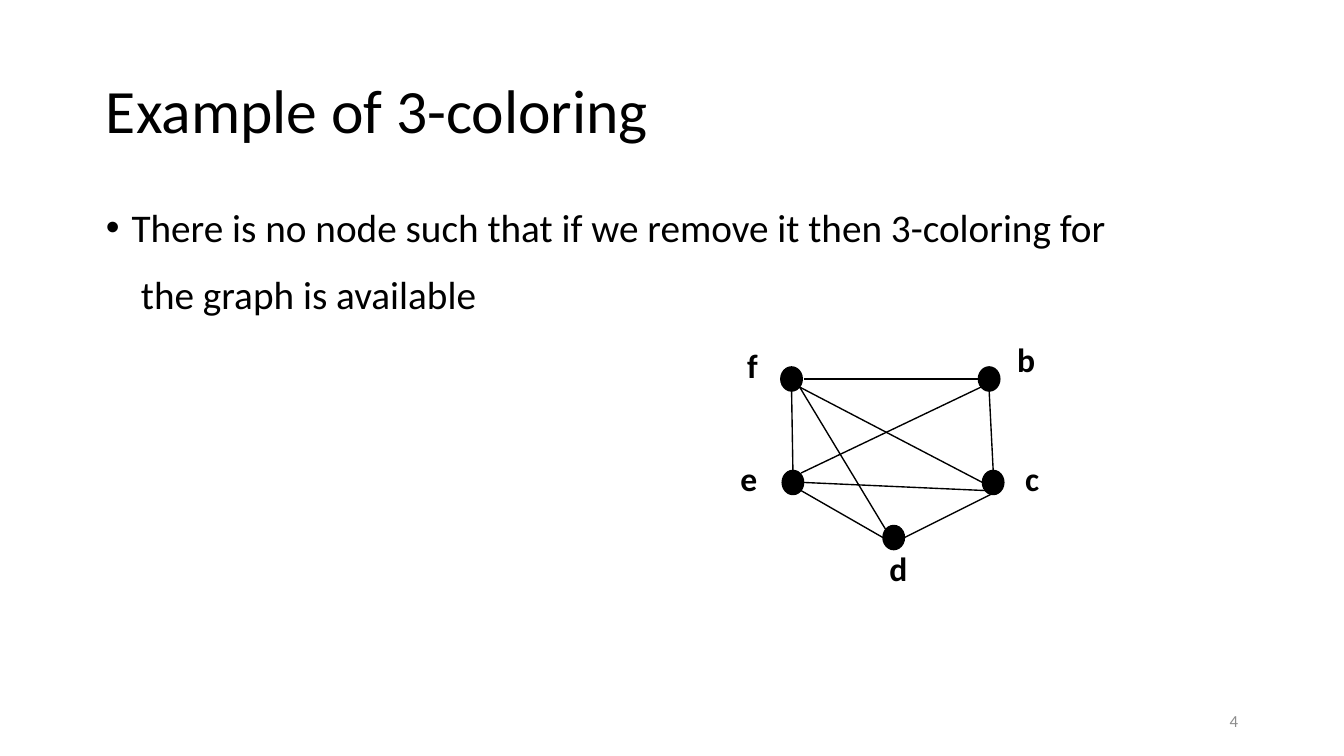
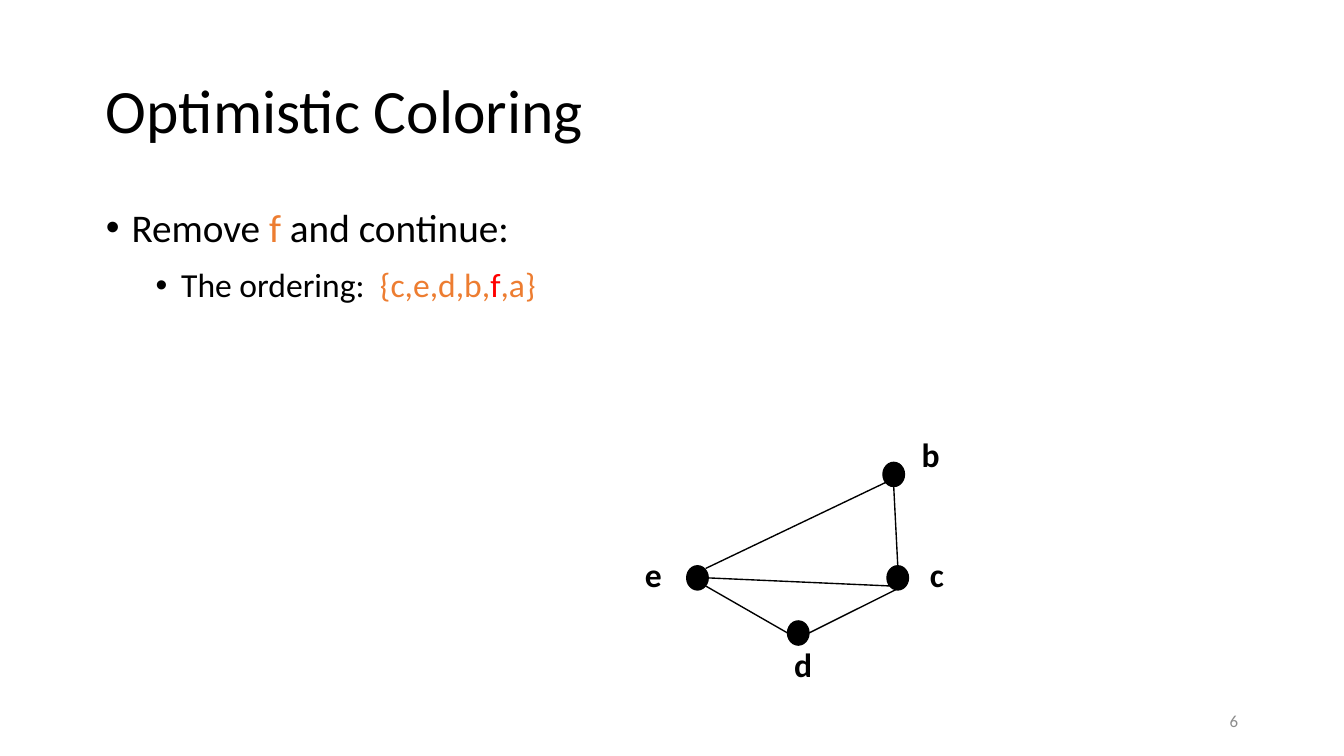
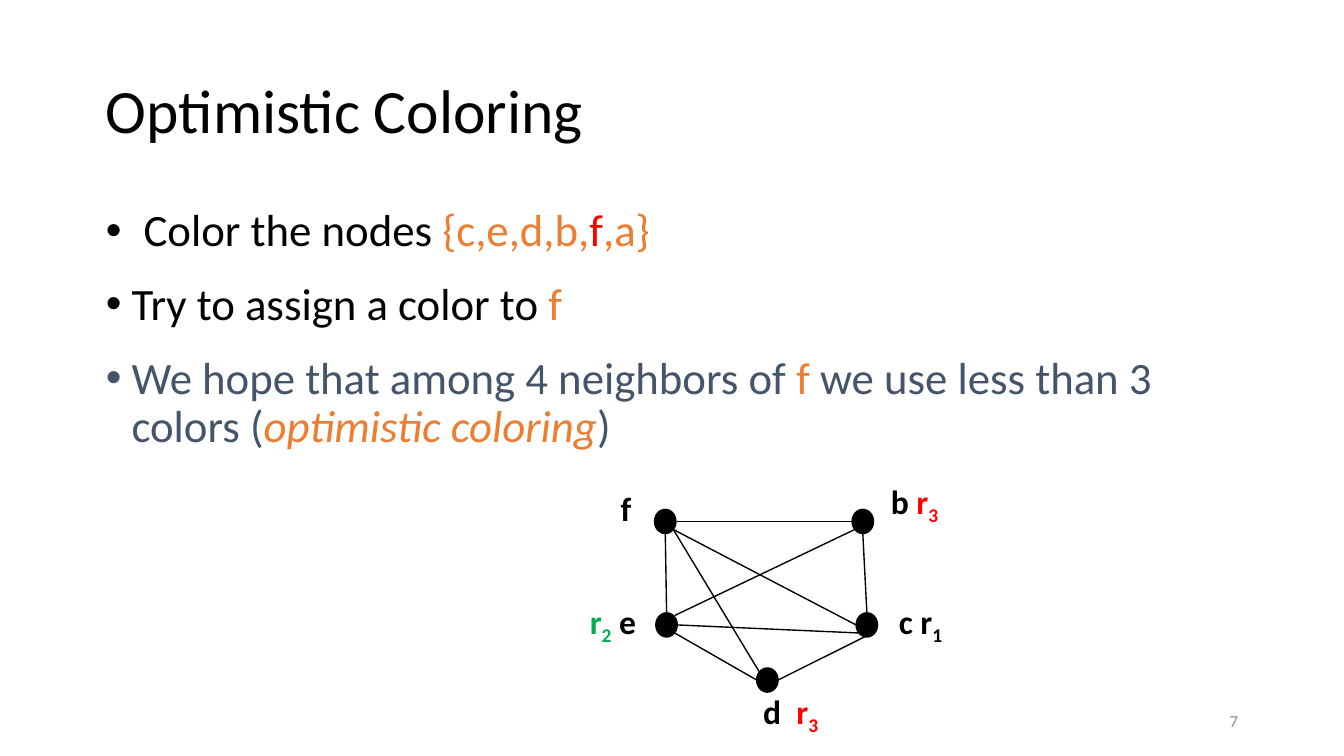
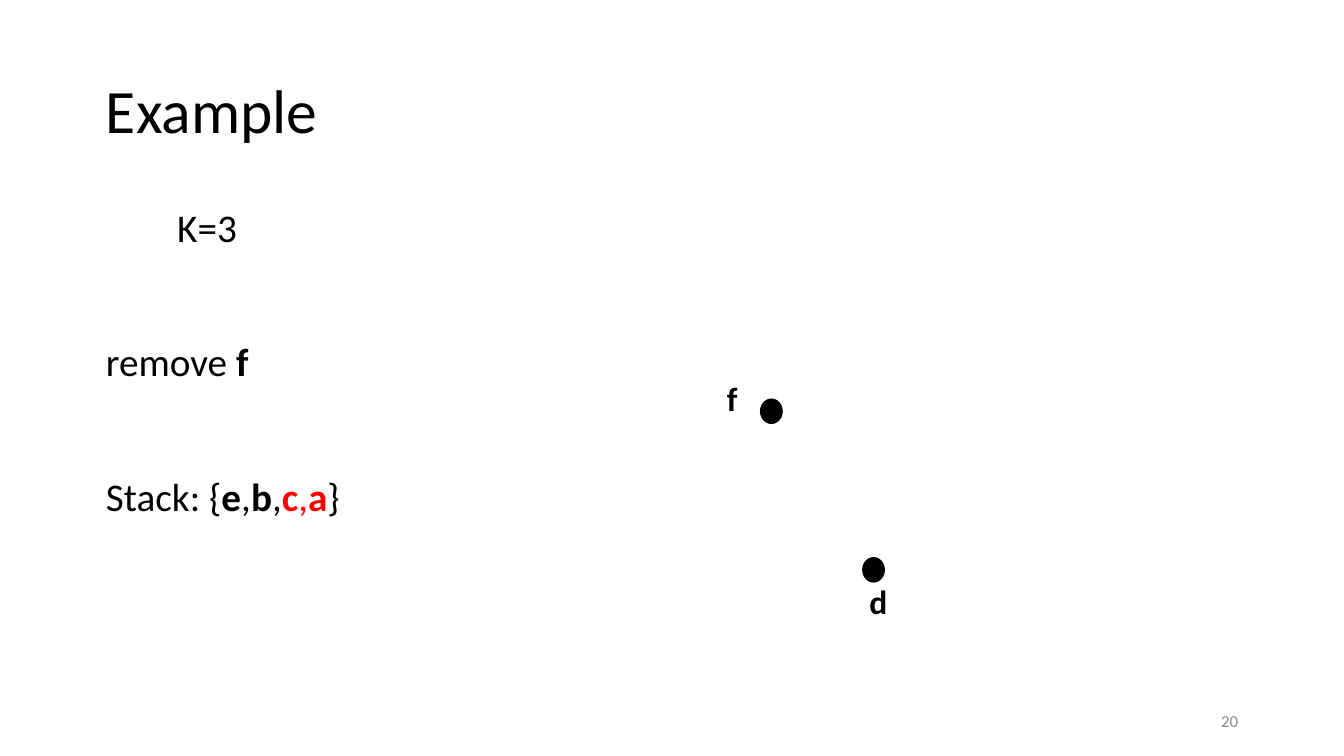
from dataclasses import dataclass
from typing import NamedTuple

from lxml import etree
from pptx import Presentation
from pptx import util as u
from pptx.dml.color import RGBColor
from pptx.enum import shapes, text
from pptx.oxml.ns import qn

FONT = "Calibri"
BULLET_FONT = "Arial"
BLACK = RGBColor(0x00, 0x00, 0x00)
GRAY = RGBColor(0x8C, 0x8C, 0x8C)
ORANGE = RGBColor(0xED, 0x7D, 0x31)
RED = RGBColor(0xFF, 0x00, 0x00)
GREEN = RGBColor(0x00, 0xB0, 0x50)
SLATE = RGBColor(0x44, 0x54, 0x6A)


class Area(NamedTuple):
    left: float
    top: float
    width: float
    height: float


class Node(NamedTuple):
    dot_x: float
    dot_y: float
    label: Area


class Edge(NamedTuple):
    ends: str
    start: tuple[float, float]
    end: tuple[float, float]


@dataclass(frozen=True)
class Span:
    text: str
    color: RGBColor = BLACK
    bold: bool = False
    italic: bool = False
    subscript: bool = False


@dataclass(frozen=True)
class Para:
    spans: list[Span]
    size: float
    margin: float = 0
    hanging: float = 0
    before: float = 7.5
    after: float = 6
    spacing: float = 0.9


@dataclass(frozen=True)
class Graph:
    left: float
    top: float
    labels: dict[str, list[Span]]
    linked: bool = True
    label_shifts: tuple[tuple[str, float], ...] = ()


@dataclass(frozen=True)
class Content:
    title: str
    body: list[Para]
    number: int
    graph: Graph


TITLE_AREA = Area(0.69, 0.3, 8.62, 1.09)
BODY_AREA = Area(0.69, 1.5, 8.62, 3.57)
NUMBER_AREA = Area(7.06, 5.21, 2.25, 0.31)
DOT_WIDTH, DOT_HEIGHT = 0.16, 0.18

NODES = {
    "b": Node(1.47, 0, Area(1.66, -0.26, 0.64, 0.4)),
    "c": Node(1.5, 0.77, Area(1.72, 0.63, 0.76, 0.4)),
    "d": Node(0.76, 1.18, Area(0.71, 1.3, 0.76, 0.4)),
    "f": Node(0, 0, Area(-0.35, -0.21, 0.69, 0.4)),
    "e": Node(0.01, 0.77, Area(-0.4, 0.63, 0.63, 0.4)),
}
EDGES = [
    Edge("ef", (0.09, 0.77), (0.08, 0.18)),
    Edge("df", (0.78, 1.21), (0.14, 0.15)),
    Edge("de", (0.76, 1.27), (0.15, 0.92)),
    Edge("bf", (1.47, 0.09), (0.17, 0.09)),
    Edge("cf", (1.5, 0.86), (0.14, 0.15)),
    Edge("bc", (1.55, 0.18), (1.58, 0.77)),
    Edge("ce", (1.52, 0.92), (0.17, 0.86)),
    Edge("cd", (1.58, 0.94), (0.92, 1.27)),
    Edge("be", (1.49, 0.15), (0.15, 0.79)),
]


def write_span(para, wording: str, *, size: float, color: RGBColor = BLACK,
               bold: bool = False, italic: bool = False,
               subscript: bool = False) -> None:
    run = para.add_run()
    run.text = wording
    run.font.name = FONT
    run.font.size = u.Pt(size)
    run.font.color.rgb = color
    run.font.bold = bold
    run.font.italic = italic
    if subscript:
        run.font._element.set("baseline", "-25000")


def add_text(parent, area: Area, paras: list[Para], *,
             anchor=text.MSO_ANCHOR.TOP, align=text.PP_ALIGN.LEFT) -> None:
    box = parent.shapes.add_textbox(*map(u.Inches, area))
    frame = box.text_frame
    frame.word_wrap = True
    frame.vertical_anchor = anchor
    for index, item in enumerate(paras):
        para = frame.paragraphs[0] if index == 0 else frame.add_paragraph()
        properties = para._p.get_or_add_pPr()
        properties.set("marL", str(u.Inches(item.margin)))
        if item.hanging:
            properties.set("indent", str(-u.Inches(item.hanging)))
            etree.SubElement(properties, qn("a:buFont"), typeface=BULLET_FONT)
            etree.SubElement(properties, qn("a:buChar"), char="•")
        para.alignment = align
        para.line_spacing = item.spacing
        para.space_before = u.Pt(item.before if index else 0)
        para.space_after = u.Pt(item.after)
        for span in item.spans:
            write_span(para, span.text, size=item.size, color=span.color,
                       bold=span.bold, italic=span.italic, subscript=span.subscript)


def plain(spans: list[Span], size: float) -> Para:
    return Para(spans, size, before=0, after=0, spacing=1.0)


def add_node(page, graph: Graph, name: str) -> None:
    node = NODES[name]
    group = page.shapes.add_group_shape()
    dot = group.shapes.add_shape(
        shapes.MSO_SHAPE.OVAL,
        u.Inches(graph.left + node.dot_x), u.Inches(graph.top + node.dot_y),
        u.Inches(DOT_WIDTH), u.Inches(DOT_HEIGHT))
    dot.shadow.inherit = False
    dot.fill.solid()
    dot.fill.fore_color.rgb = BLACK
    dot.line.color.rgb = BLACK
    dot.line.width = u.Pt(0.75)
    shift = dict(graph.label_shifts).get(name, 0)
    area = node.label._replace(left=graph.left + node.label.left + shift,
                               top=graph.top + node.label.top)
    add_text(group, area, [plain(graph.labels[name], 18)])


def add_edge(page, graph: Graph, edge: Edge) -> None:
    points = [u.Inches(origin + offset)
              for point in (edge.start, edge.end)
              for origin, offset in zip((graph.left, graph.top), point)]
    line = page.shapes.add_connector(shapes.MSO_CONNECTOR.STRAIGHT, *points)
    line.line.color.rgb = BLACK
    line.line.width = u.Pt(0.75)
    etree.SubElement(line._element.spPr, qn("a:effectLst"))


def add_graph(page, graph: Graph) -> None:
    for name in NODES:
        if name in graph.labels:
            add_node(page, graph, name)
    for edge in EDGES:
        if graph.linked and set(edge.ends) <= set(graph.labels):
            add_edge(page, graph, edge)


def add_page(deck, content: Content) -> None:
    page = deck.slides.add_slide(deck.slide_layouts[6])
    title = Para([Span(content.title)], 33, before=0, after=0)
    add_text(page, TITLE_AREA, [title], anchor=text.MSO_ANCHOR.MIDDLE)
    add_text(page, BODY_AREA, content.body)
    add_text(page, NUMBER_AREA, [plain([Span(str(content.number), GRAY)], 9)],
             anchor=text.MSO_ANCHOR.MIDDLE, align=text.PP_ALIGN.RIGHT)
    add_graph(page, content.graph)


def bullet(spans: list[Span], size: float, margin: float = 0.19,
           hanging: float = 0.19, before: float = 7.5) -> Para:
    return Para(spans, size, margin, hanging, before)


def bold(wording: str, color: RGBColor = BLACK) -> Span:
    return Span(wording, color, bold=True)


def register(digit: str, color: RGBColor) -> list[Span]:
    return [bold("r", color), Span(digit, color, bold=True, subscript=True)]


def names(letters: str) -> dict[str, list[Span]]:
    return {letter: [bold(letter)] for letter in letters}


ORDERING = [Span("{c,e,d,b,", ORANGE), Span("f", RED), Span(",a}", ORANGE)]
NODE_F = Span("f", ORANGE)
STACK_GAP = 43.5

PAGES = [
    Content(
        "Example of 3-coloring",
        [bullet([Span("There is no node such that if we remove it then 3-coloring for")], 21),
         Para([Span("the graph is available")], 21, margin=0.26)],
        4, Graph(5.81, 2.73, names("bcdfe"))),
    Content(
        "Optimistic Coloring",
        [bullet([Span("Remove "), NODE_F, Span(" and continue:")], 21),
         bullet([Span("The ordering: "), Span(" ", ORANGE), *ORDERING], 18,
                margin=0.56, before=3.8)],
        6, Graph(5.1, 3.44, names("bcde"))),
    Content(
        "Optimistic Coloring",
        [bullet([Span("Color the nodes "), *ORDERING], 24, margin=0.28, hanging=0.28),
         bullet([Span("Try to assign a color to "), NODE_F], 24),
         bullet([Span("We hope that among 4 neighbors of ", SLATE), NODE_F,
                 Span(" we use less than 3 colors (", SLATE),
                 Span("optimistic coloring", ORANGE, italic=True),
                 Span(")", SLATE)], 24)],
        7, Graph(4.87, 3.79, {
            "b": [bold("b "), *register("3", RED)],
            "c": [bold("c "), *register("1", BLACK)],
            "d": [bold("d  "), *register("3", RED)],
            "f": [bold("f")],
            "e": [*register("2", GREEN), bold(" e")],
        }, label_shifts=(("e", -0.18),))),
    Content(
        "Example",
        [Para([Span("K=3")], 21, margin=0.53),
         Para([Span("remove "), bold("f")], 21, before=STACK_GAP),
         Para([Span("Stack: {"), bold("e"), Span(","), bold("b"), Span(","),
               bold("c", RED), Span(",", RED), bold("a", RED), Span("}")],
              21, before=STACK_GAP)],
        20, Graph(5.66, 2.97, names("fd"), linked=False)),
]


def main() -> None:
    deck = Presentation()
    deck.slide_width = u.Inches(10)
    deck.slide_height = u.Inches(10) * 9 // 16
    for content in PAGES:
        add_page(deck, content)
    deck.save("out.pptx")


if __name__ == "__main__":
    main()
